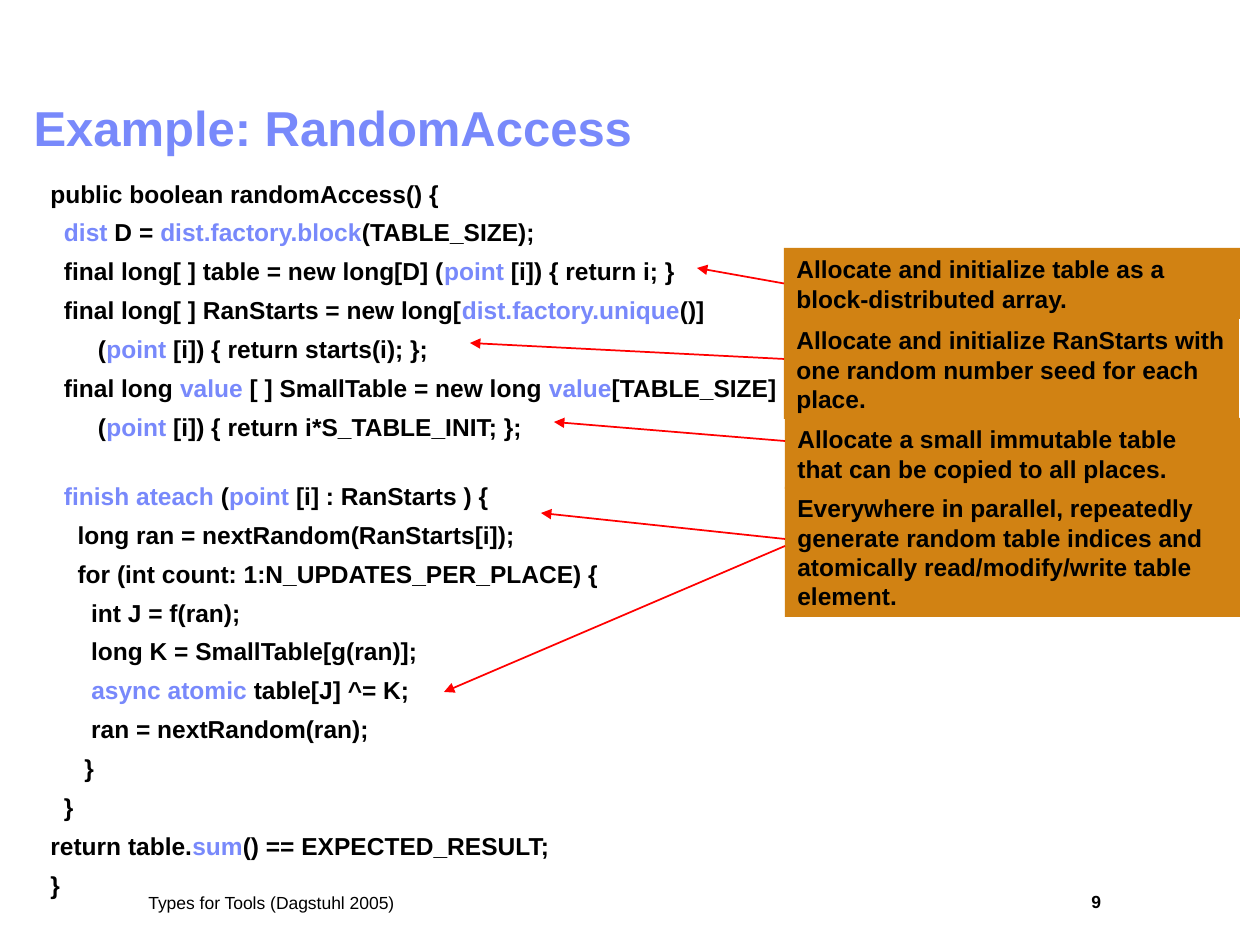
import pptx
import pptx.util
import pptx.dml.color
import pptx.enum.shapes
import pptx.enum.text
import pptx.oxml
import pptx.oxml.ns

PX = 914400 / 126
BLUE, BLACK, ORANGE, RED = "7889FB", "000000", "D18213", "FF0000"
LEFT_SIDE = 1
CODE_SPACING = 8.8
BLOCK_SPACING = 26

# Segments between bars are highlighted; each block is set apart by a wider gap.
CODE_BLOCKS = [
    """public boolean randomAccess() {
  |dist| D = |dist.factory.block|(TABLE_SIZE);
  final long[ ] table = new long[D] (|point| [i]) { return i; }
  final long[ ] RanStarts = new long[|dist.factory.unique|()]
       (|point| [i]) { return starts(i); };
  final long |value| [ ] SmallTable = new long |value|[TABLE_SIZE]
       (|point| [i]) { return i*S_TABLE_INIT; };""",
    """  |finish ateach| (|point| [i] : RanStarts ) {
    long ran = nextRandom(RanStarts[i]);
    for (int count: 1:N_UPDATES_PER_PLACE) {
      int J = f(ran);
      long K = SmallTable[g(ran)];
      |async atomic| table[J] ^= K;
      ran = nextRandom(ran);
     }
  }
return table.|sum|() == EXPECTED_RESULT;
}""",
]

# Text, box, and arrows as (start y, tip x, tip y); no start y means mid-side.
NOTES = [
    ("Allocate and initialize table as a block-distributed array.",
     (784, 248, 456, 71), [(None, 697, 268)]),
    ("Everywhere in parallel, repeatedly generate random table indices and "
     "atomically read/modify/write table element.",
     (785, 487, 455, 130), [(539, 541, 513), (546, 444, 692)]),
    ("Allocate a small immutable table that can be copied to all places.",
     (785, 418, 455, 71), [(441, 554, 422)]),
    ("Allocate and initialize RanStarts with one random number seed for each place.",
     (784, 319, 455, 100), [(359, 470, 343)]),
]


def px(*lengths):
    return [pptx.util.Emu(round(length * PX)) for length in lengths]


def colour(value):
    return pptx.dml.color.RGBColor.from_string(value)


def set_all(target, values):
    for name, value in values.items():
        setattr(target, name, value)


def add_span(para, text, size, ink=BLACK, bold=True):
    span = para.add_run()
    span.text = text
    set_all(span.font, {"name": "Arial", "size": pptx.util.Pt(size), "bold": bold})
    span.font.color.rgb = colour(ink)


def format_frame(frame, **values):
    inset_x, inset_y = pptx.util.Inches(0.1), pptx.util.Inches(0.05)
    set_all(frame, {"word_wrap": True, "margin_left": inset_x, "margin_right": inset_x,
                    "margin_top": inset_y, "margin_bottom": inset_y, **values})


def add_title(page, text, bounds):
    title = page.shapes.title
    set_all(title, dict(zip(("left", "top", "width", "height"), px(*bounds))))
    format_frame(title.text_frame, auto_size=pptx.enum.text.MSO_AUTO_SIZE.NONE,
                 vertical_anchor=pptx.enum.text.MSO_ANCHOR.BOTTOM)
    para = title.text_frame.paragraphs[0]
    set_all(para, {"alignment": pptx.enum.text.PP_ALIGN.LEFT, "line_spacing": 0.9})
    add_span(para, text, 28, BLUE)


def add_label(page, text, bounds, bold):
    box = page.shapes.add_textbox(*px(*bounds))
    format_frame(box.text_frame)
    add_span(box.text_frame.paragraphs[0], text, 10, bold=bold)


def add_code(page, blocks, bounds):
    frame = page.shapes.add_textbox(*px(*bounds)).text_frame
    format_frame(frame, auto_size=pptx.enum.text.MSO_AUTO_SIZE.SHAPE_TO_FIT_TEXT)
    para = None
    for block in blocks:
        for number, line in enumerate(block.split("\n")):
            if para is None:
                para, gap = frame.paragraphs[0], 0
            else:
                para = frame.add_paragraph()
                gap = CODE_SPACING if number else BLOCK_SPACING
            set_all(para, {"line_spacing": 0.8, "space_before": pptx.util.Pt(gap)})
            for index, segment in enumerate(line.split("|")):
                if segment:
                    add_span(para, segment, 14, BLUE if index % 2 else BLACK)


def add_note(page, text, bounds):
    box = page.shapes.add_shape(pptx.enum.shapes.MSO_SHAPE.RECTANGLE, *px(*bounds))
    box.shadow.inherit = False
    box.fill.solid()
    box.fill.fore_color.rgb = colour(ORANGE)
    box.line.fill.background()
    format_frame(box.text_frame, vertical_anchor=pptx.enum.text.MSO_ANCHOR.TOP,
                 auto_size=pptx.enum.text.MSO_AUTO_SIZE.SHAPE_TO_FIT_TEXT)
    para = box.text_frame.paragraphs[0]
    para.alignment = pptx.enum.text.PP_ALIGN.LEFT
    add_span(para, text, 14)
    return box


def add_arrow(page, box, start_y, tip_x, tip_y):
    """Point from the box's left side; without start_y, join the side's middle."""
    top = box.top if start_y is None else px(start_y)[0]
    arrow = page.shapes.add_connector(
        pptx.enum.shapes.MSO_CONNECTOR.STRAIGHT, box.left, top, *px(tip_x, tip_y))
    if start_y is None:
        arrow.begin_connect(box, LEFT_SIDE)
    arrow.line.color.rgb = colour(RED)
    arrow.line.width = pptx.util.Pt(1)
    head = pptx.oxml.parse_xml(
        f'<a:tailEnd {pptx.oxml.ns.nsdecls("a")} type="triangle"/>')
    arrow.line._get_or_add_ln().append(head)
    arrow._element.spPr.append(
        pptx.oxml.parse_xml(f'<a:effectLst {pptx.oxml.ns.nsdecls("a")}/>'))


def main():
    deck = pptx.Presentation()
    set_all(deck, dict(zip(("slide_width", "slide_height"), px(1260, 945))))
    page = deck.slides.add_slide(deck.slide_layouts[5])
    add_title(page, "Example: RandomAccess", (21, 94, 1137, 69))
    add_code(page, CODE_BLOCKS, (38, 178, 794, 726))
    for text, bounds, arrows in NOTES:
        box = add_note(page, text, bounds)
        for arrow in arrows:
            add_arrow(page, box, *arrow)
    add_label(page, "Types for Tools (Dagstuhl 2005)", (136, 886, 896, 34), False)
    add_label(page, "9", (1079, 885, 139, 44), True)
    deck.save("out.pptx")


if __name__ == "__main__":
    main()
